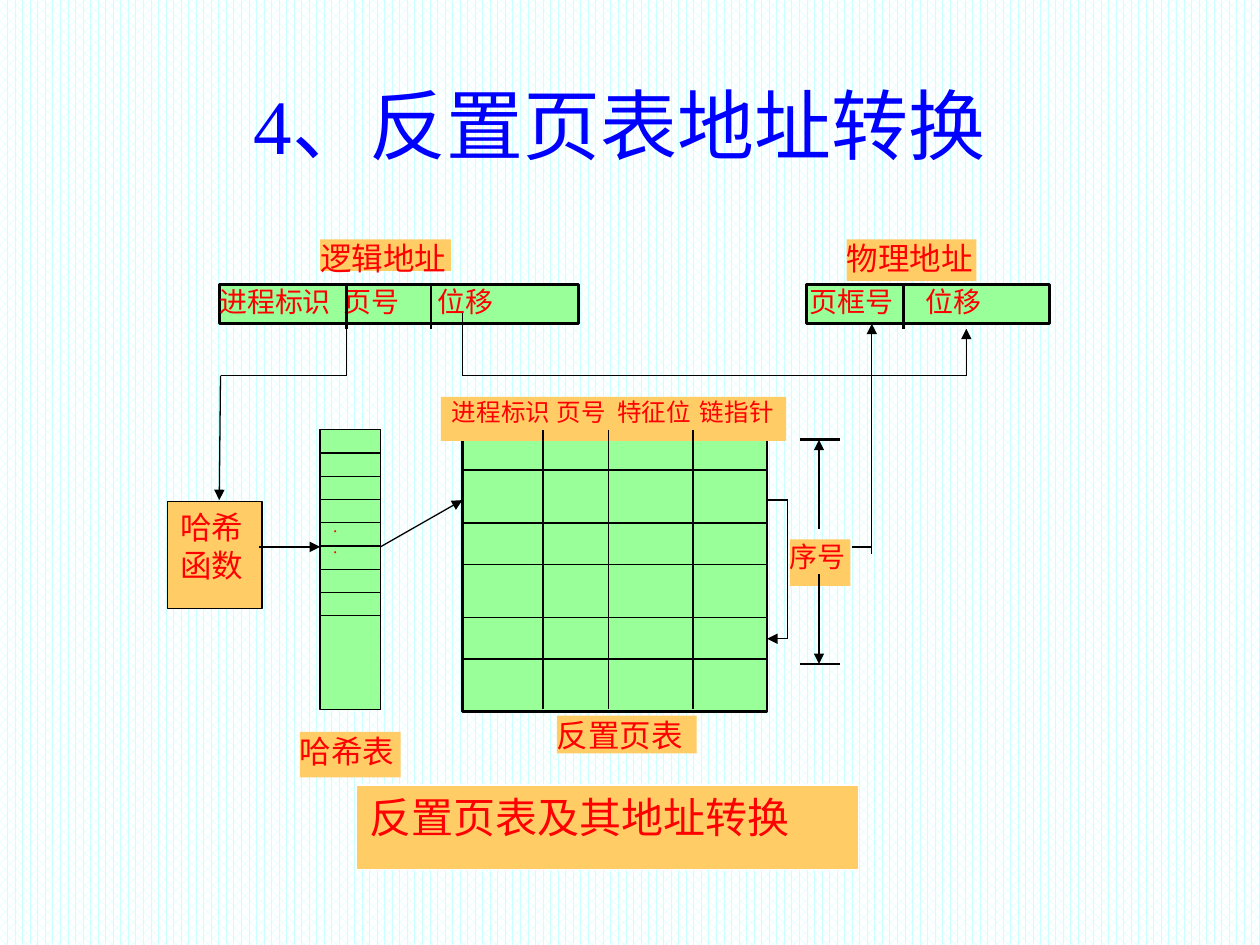
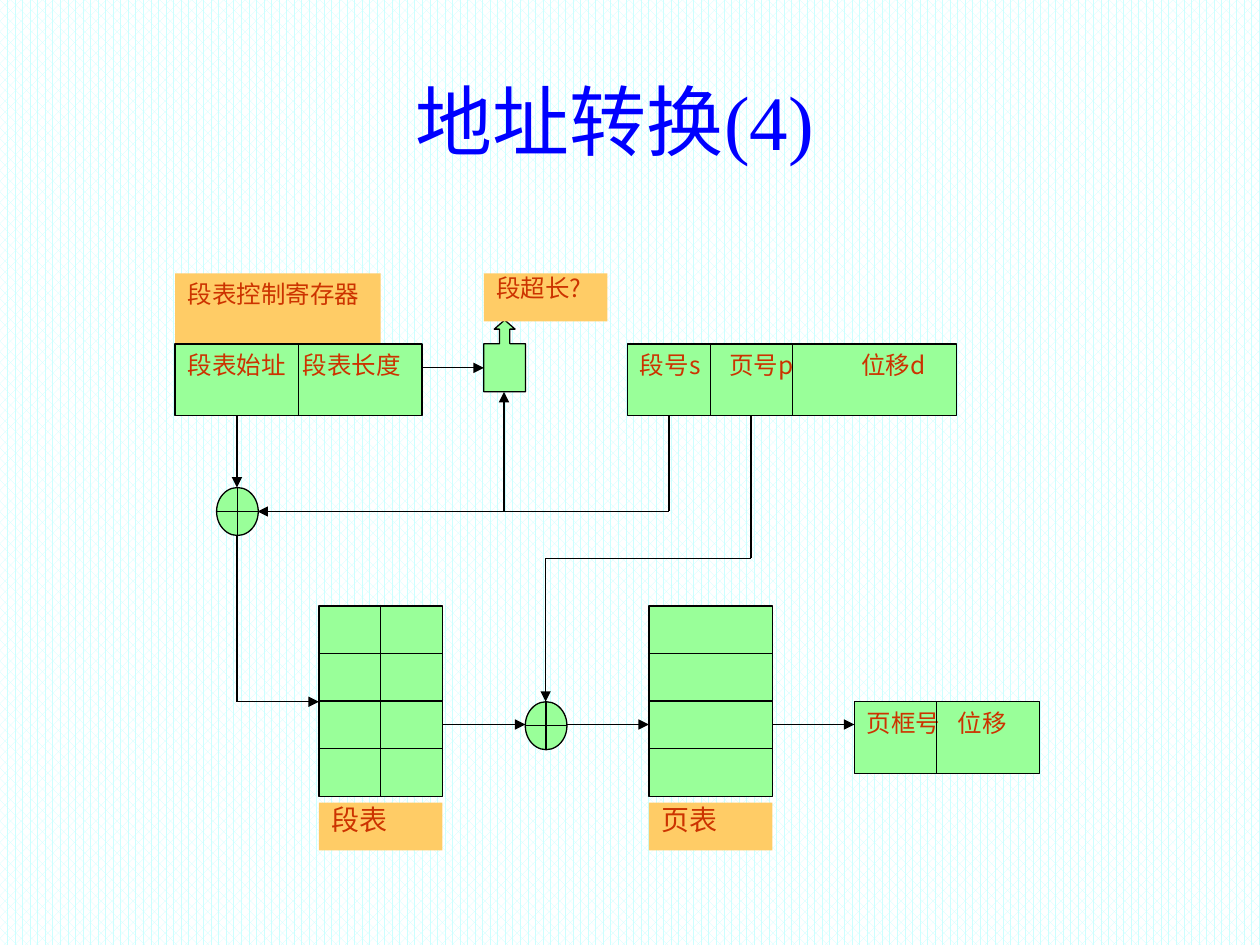
from dataclasses import dataclass
from lxml import etree
from pptx import Presentation
from pptx.dml.color import RGBColor
from pptx.enum.dml import MSO_PATTERN
from pptx.enum.shapes import MSO_CONNECTOR, MSO_SHAPE
from pptx.enum.text import MSO_ANCHOR, PP_ALIGN
from pptx.oxml.ns import qn
from pptx.util import Pt

RECT = MSO_SHAPE.RECTANGLE
ADDER = MSO_SHAPE.FLOWCHART_OR
CALLOUT = MSO_SHAPE.UP_ARROW_CALLOUT
STRAIGHT = MSO_CONNECTOR.STRAIGHT
DOTS = MSO_PATTERN.PERCENT_60
TOP, MIDDLE = MSO_ANCHOR.TOP, MSO_ANCHOR.MIDDLE
LEFT, CENTER = PP_ALIGN.LEFT, PP_ALIGN.CENTER

TIGHT = (0, 0)
SIDES = (7.2, 0)
PADDED = (7.2, 3.6)


@dataclass(frozen=True)
class Theme:
    green: str = "99FF99"
    orange: str = "FFCC66"
    black: str = "000000"
    white: str = "FFFFFF"
    pale: str = "CCFFFF"
    blue: str = "0000FF"
    red: str = "FF0000"
    brick: str = "CC3300"
    sans: str = "Noto Sans CJK JP"
    serif: str = "Times New Roman"
    title: int = 44
    caption: int = 24
    label: int = 18
    field: int = 16
    small: int = 14
    dot: int = 10
    thin: float = 0.75
    thick: float = 1.5


T = Theme()


def rgb(color):
    return RGBColor.from_string(color)


class Deck:
    def __init__(self):
        self.prs = Presentation()
        self.prs.slide_width, self.prs.slide_height = Pt(720), Pt(540)
        fill = self.prs.slide_master.background.fill
        fill.patterned()
        fill.pattern = DOTS
        fill.fore_color.rgb = rgb(T.pale)
        fill.back_color.rgb = rgb(T.white)

    def new_slide(self, ink):
        self.s = self.prs.slides.add_slide(self.prs.slide_layouts[6])
        self.ink = ink

    def put_text(self, sp, text, size, color, font=T.sans, inset=TIGHT, anchor=TOP,
                 align=LEFT, tabs=()):
        tf = sp.text_frame
        tf.word_wrap = True
        tf.vertical_anchor = anchor
        tf.margin_left = tf.margin_right = Pt(inset[0])
        tf.margin_top = tf.margin_bottom = Pt(inset[1])
        tf.text = text
        for p in tf.paragraphs:
            p.alignment = align
            if tabs:
                stops = etree.SubElement(p._p.get_or_add_pPr(), qn("a:tabLst"))
                for x in tabs:
                    etree.SubElement(stops, qn("a:tab"), pos=str(Pt(x)), algn="l")
            for r in p.runs:
                r.font.size = Pt(size)
                r.font.name = font
                r.font.color.rgb = rgb(color)
                ea = etree.SubElement(r._r.get_or_add_rPr(), qn("a:ea"))
                ea.set("typeface", T.sans)

    def title(self, text, box):
        sp = self.s.shapes.add_textbox(*map(Pt, box))
        self.put_text(sp, text, T.title, T.blue, T.serif, PADDED, MIDDLE, CENTER)

    def shape(self, box, fill=T.green, line=T.black, width=T.thin, kind=RECT):
        sp = self.s.shapes.add_shape(kind, *map(Pt, box))
        sp.shadow.inherit = False
        sp.fill.solid()
        sp.fill.fore_color.rgb = rgb(fill)
        if line:
            sp.line.color.rgb = rgb(line)
            sp.line.width = Pt(width)
        else:
            sp.line.fill.background()
        return sp

    def label(self, text, box, size=T.label, inset=TIGHT, line=None, tabs=()):
        sp = self.shape(box, T.orange, line)
        self.put_text(sp, text, size, self.ink, inset=inset, tabs=tabs)

    def route(self, *points, arrow=True, width=T.thin):
        for start, end in zip(points, points[1:]):
            c = self.s.shapes.add_connector(STRAIGHT, *map(Pt, start + end))
            c.line.color.rgb = rgb(T.black)
            c.line.width = Pt(width)
            etree.SubElement(c._element.spPr, qn("a:effectLst"))
        if arrow:
            ln = c._element.spPr.find(qn("a:ln"))
            etree.SubElement(ln, qn("a:tailEnd"), type="triangle")

    def columns(self, xs, top, bottom, width=T.thin):
        for x in xs:
            self.route((x, top), (x, bottom), arrow=False, width=width)

    def rows(self, ys, left, right, width=T.thin):
        for y in ys:
            self.route((left, y), (right, y), arrow=False, width=width)

    def record(self, fields, box, dividers, tabs, size, inset, width=T.thin, overhang=0):
        sp = self.shape(box, width=width)
        self.put_text(sp, "\t".join(fields), size, self.ink, inset=inset, tabs=tabs)
        self.columns(dividers, box[1], box[1] + box[3] + overhang, width)


def inverted_page_table(d):
    d.new_slide(T.red)
    d.title("4、反置页表地址转换", (48.2, 25.9, 612, 90))

    addresses = [
        (["进程标识", "页号", "位移"], 125.3, 205.2, [198, 246.2], [70.9, 124.6], 0),
        (["页框号", "位移"], 460.8, 139, [516.2], [66.3], 1.7),
    ]
    for fields, left, width, dividers, tabs, indent in addresses:
        d.record(fields, (left, 162.7, width, 22.3), dividers, tabs, T.field,
                 (indent, 0), T.thick, 2.9)
    d.label("逻辑地址", (182.9, 136.8, 74.9, 18))
    d.label("物理地址", (483.8, 136.8, 74.2, 23.8))

    left, right = 264.2, 438.4
    d.shape((left, 248.4, right - left, 158.4), width=T.thick)
    d.label("进程标识\t页号\t特征位\t链指针", (252, 226.8, 197.3, 25.2), T.small,
            (6.3, 0), tabs=[60, 94.3, 141.7])
    d.columns([310.3, 347.8, 396], 245.5, 405.4)
    d.rows([268.6, 298.8, 322.6, 352.8, 376.6], left, right)
    d.label("反置页表", (318.2, 409, 79.9, 21.6))

    hash_left, hash_top, hash_width, slot = 182.9, 245.5, 34.6, 13.3
    sp = d.shape((hash_left, hash_top, hash_width, 159.8))
    d.put_text(sp, "·\n·", T.dot, T.red, T.serif, (7.2, 51.6))
    d.rows([hash_top + slot * i for i in range(1, 9)], hash_left, hash_left + hash_width)
    d.label("哈希表", (171.4, 418.3, 57.6, 25.9))
    d.label("哈希\n函数", (95.8, 286.6, 54, 61.2), inset=PADDED, line=T.black)

    d.label("序号", (451.4, 308.2, 34.6, 26.6), T.field)
    d.rows([251.3, 379.4], 457.2, 480.2, T.thick)
    d.route((468, 302.4), (468, 251.3))
    d.route((468, 328.3), (468, 379.4))
    d.route((486.7, 312.5), (498.2, 312.5), arrow=False)
    d.route((498.2, 316.8), (498.2, 185))

    d.route((198, 187.9), (198, 214.6), (126, 214.6), (125.3, 285.8))
    d.route((264.2, 178.6), (264.2, 214.6), (552.2, 214.6), (552.2, 187.9))
    d.route((148.3, 312.5), (hash_left, 312.5))
    d.route((217.4, 312.5), (left, 285.8))
    d.route((right, 285.8), (450, 285.8), (450, 365), (right, 365))
    d.label("反置页表及其地址转换", (203.8, 448.6, 286.6, 48.2), T.caption, PADDED, T.white)


def segment_page_translation(d):
    d.new_slide(T.brick)
    d.title("地址转换(4)", (99.4, 25.9, 504, 85))

    d.label("段表控制寄存器", (100.1, 156.2, 117.4, 41), T.small, PADDED)
    records = [
        (["段表始址", "段表长度"], 100.1, 196.6, 141.1, [170.6], [65.7]),
        (["段号s", "页号p", "位移d"], 358.6, 196.6, 187.9, [406.1, 452.9], [50.9, 126.3]),
        (["页框号", "位移"], 488.2, 401, 105.8, [535], [52]),
    ]
    for fields, left, top, width, dividers, tabs in records:
        d.record(fields, (left, top, width, 41), dividers, tabs, T.small, PADDED)

    sp = d.shape((276.5, 182.9, 23.8, 41), kind=CALLOUT)
    for i, value in enumerate([0.25, 0.25, 0.22, 0.67]):
        sp.adjustments[i] = value
    d.label("段超长?", (276.5, 156.2, 70.6, 27.4), T.small, SIDES)

    top, width, height = 346.3, 70.6, 108.7
    for name, left in (("段表", 182.2), ("页表", 370.8)):
        d.shape((left, top, width, height))
        d.rows([top + height / 4 * i for i in range(1, 4)], left, left + width)
        d.label(name, (left, 458.6, width, 27.4), T.field, SIDES)
    d.columns([182.2 + width / 2], top, top + height)

    for left, y in ((123.8, 278.6), (300.2, 401)):
        d.shape((left, y, 23.8, 27.4), kind=ADDER)

    d.route((241.2, 210.2), (276.5, 210.2))
    d.route((288, 292.3), (288, 224))
    d.route((135.4, 237.6), (135.4, 278.6))
    d.route((382.3, 237.6), (382.3, 292.3), (147.2, 292.3))
    d.route((135.4, 305.6), (135.4, 401), (182.2, 401))
    d.route((429.1, 237.6), (429.1, 319), (311.8, 319), (311.8, 401))
    for start, end in ((252.8, 300.2), (323.6, 370.8), (441.4, 488.2)):
        d.route((start, 414), (end, 414))


def main():
    d = Deck()
    inverted_page_table(d)
    segment_page_translation(d)
    d.prs.save("out.pptx")


if __name__ == "__main__":
    main()
